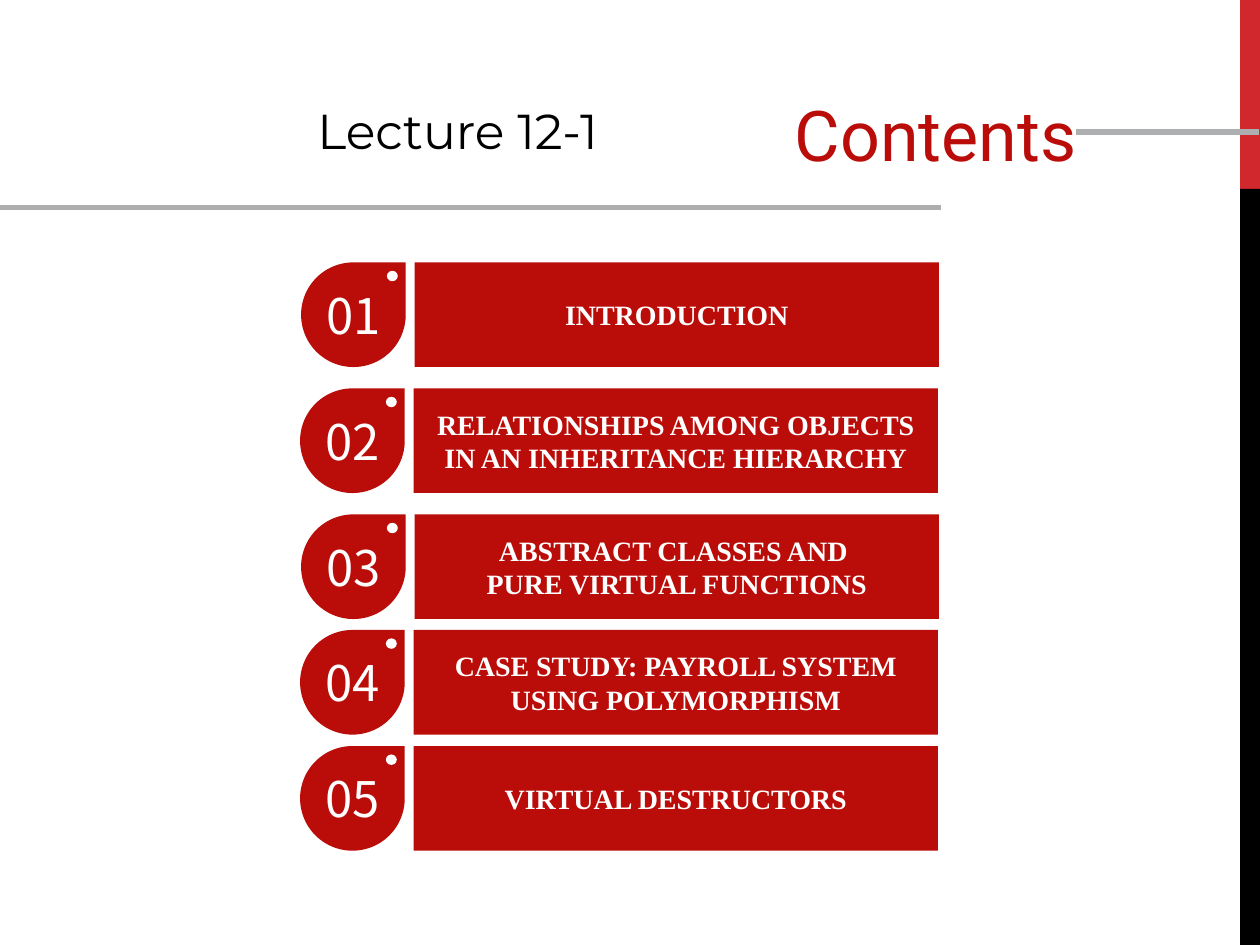
from dataclasses import dataclass
from pptx import Presentation
from pptx.dml.color import RGBColor
from pptx.enum.shapes import MSO_CONNECTOR, MSO_SHAPE
from pptx.enum.text import MSO_ANCHOR, MSO_AUTO_SIZE, PP_ALIGN
from pptx.oxml.ns import qn
from pptx.util import Cm, Pt
from lxml.etree import SubElement

RED = RGBColor(0xBA, 0x0D, 0x09)
EDGE_RED = RGBColor(0xD1, 0x28, 0x2E)
GRAY = RGBColor(0xAC, 0xAE, 0xB0)
BLACK = RGBColor(0, 0, 0)
WHITE = RGBColor(255, 255, 255)

TITLE_FONT = {"name": "Roboto", "size": Pt(40)}
LECTURE_FONT = {"name": "Montserrat", "size": Pt(28)}
NUMBER_FONT = {"name": "Noto Sans CJK JP", "size": Pt(28)}
TOPIC_FONT = {"name": "Times New Roman", "size": Pt(16), "bold": True}

ROW_HEIGHT = 2.11
BAR_OFFSET, BAR_WIDTH = 2.29, 10.57


@dataclass
class Topic:
    left: float
    top: float
    text: str


TOPICS = [
    Topic(6.07, 5.29, "INTRODUCTION"),
    Topic(6.05, 7.83, "RELATIONSHIPS AMONG OBJECTS IN AN INHERITANCE HIERARCHY"),
    Topic(6.07, 10.37, "ABSTRACT CLASSES AND \vPURE VIRTUAL FUNCTIONS"),
    Topic(6.05, 12.7, "CASE STUDY: PAYROLL SYSTEM USING POLYMORPHISM"),
    Topic(6.05, 15.04, "VIRTUAL DESTRUCTORS"),
]


def write(tf, text: str, font: dict, color: RGBColor, align=PP_ALIGN.LEFT) -> None:
    tf.text = text
    p = tf.paragraphs[0]
    p.alignment = align
    for r in p.runs:
        for name, value in font.items():
            setattr(r.font, name, value)
        r.font.color.rgb = color


def add_block(shapes, kind, left: float, top: float, width: float, height: float,
              fill: RGBColor):
    sp = shapes.add_shape(kind, Cm(left), Cm(top), Cm(width), Cm(height))
    sp.shadow.inherit = False
    sp.fill.solid()
    sp.fill.fore_color.rgb = fill
    sp.line.fill.background()
    return sp


def add_label(sp, text: str, font: dict) -> None:
    sp.text_frame.vertical_anchor = MSO_ANCHOR.MIDDLE
    write(sp.text_frame, text, font, WHITE, PP_ALIGN.CENTER)


def add_rule(shapes, x1: float, x2: float, y: float) -> None:
    line = shapes.add_connector(MSO_CONNECTOR.STRAIGHT, Cm(x1), Cm(y), Cm(x2), Cm(y))
    line.line.color.rgb = GRAY
    line.line.width = Pt(3)
    SubElement(line._element.spPr, qn("a:effectLst"))


def add_topic(shapes, number: int, topic: Topic) -> None:
    left, top = topic.left, topic.top
    drop = add_block(shapes, MSO_SHAPE.TEAR, left, top, ROW_HEIGHT, ROW_HEIGHT, RED)
    drop.text_frame.word_wrap = False
    add_label(drop, f"{number:02}", NUMBER_FONT)
    add_block(shapes, MSO_SHAPE.OVAL, left + 1.73, top + 0.17, 0.22, 0.21, WHITE)
    bar = add_block(shapes, MSO_SHAPE.RECTANGLE, left + BAR_OFFSET, top,
                    BAR_WIDTH, ROW_HEIGHT, RED)
    add_label(bar, topic.text, TOPIC_FONT)


def main() -> None:
    prs = Presentation()
    prs.slide_width, prs.slide_height = Cm(25.4), Cm(19.05)
    s = prs.slides.add_slide(prs.slide_layouts[5])
    shapes = s.shapes

    # Coloured strip on the right edge
    add_block(shapes, MSO_SHAPE.RECTANGLE, 25, 0, 0.4, 3.81, EDGE_RED)
    add_block(shapes, MSO_SHAPE.RECTANGLE, 25, 3.81, 0.4, 15.24, BLACK)

    # Title
    title = shapes.title
    title.left, title.top, title.width, title.height = Cm(12.73), Cm(1.85), Cm(9.22), Cm(2.95)
    tf = title.text_frame
    tf.auto_size = MSO_AUTO_SIZE.NONE
    tf.vertical_anchor = MSO_ANCHOR.TOP
    tf.margin_top = 0
    write(tf, "Contents", TITLE_FONT, RED, PP_ALIGN.RIGHT)

    # Lecture number
    box = shapes.add_textbox(Cm(6.15), Cm(1.9), Cm(7.39), Cm(1.45))
    box.text_frame.word_wrap = True
    write(box.text_frame, "Lecture 12-1", LECTURE_FONT, BLACK)

    # Rules
    add_rule(shapes, 21.69, 25.37, 2.66)
    add_rule(shapes, -0.03, 18.97, 4.18)

    # Topics
    for number, topic in enumerate(TOPICS, 1):
        add_topic(shapes, number, topic)

    prs.save("out.pptx")


if __name__ == "__main__":
    main()
